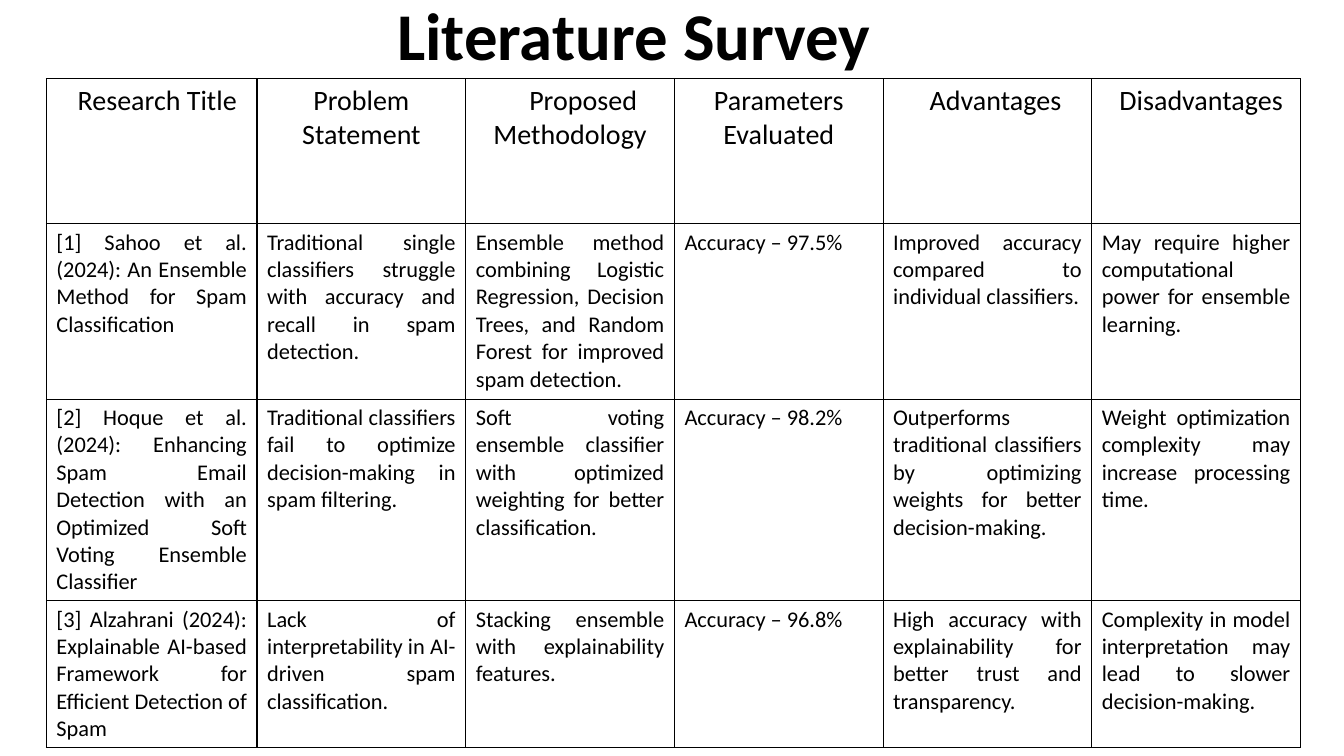
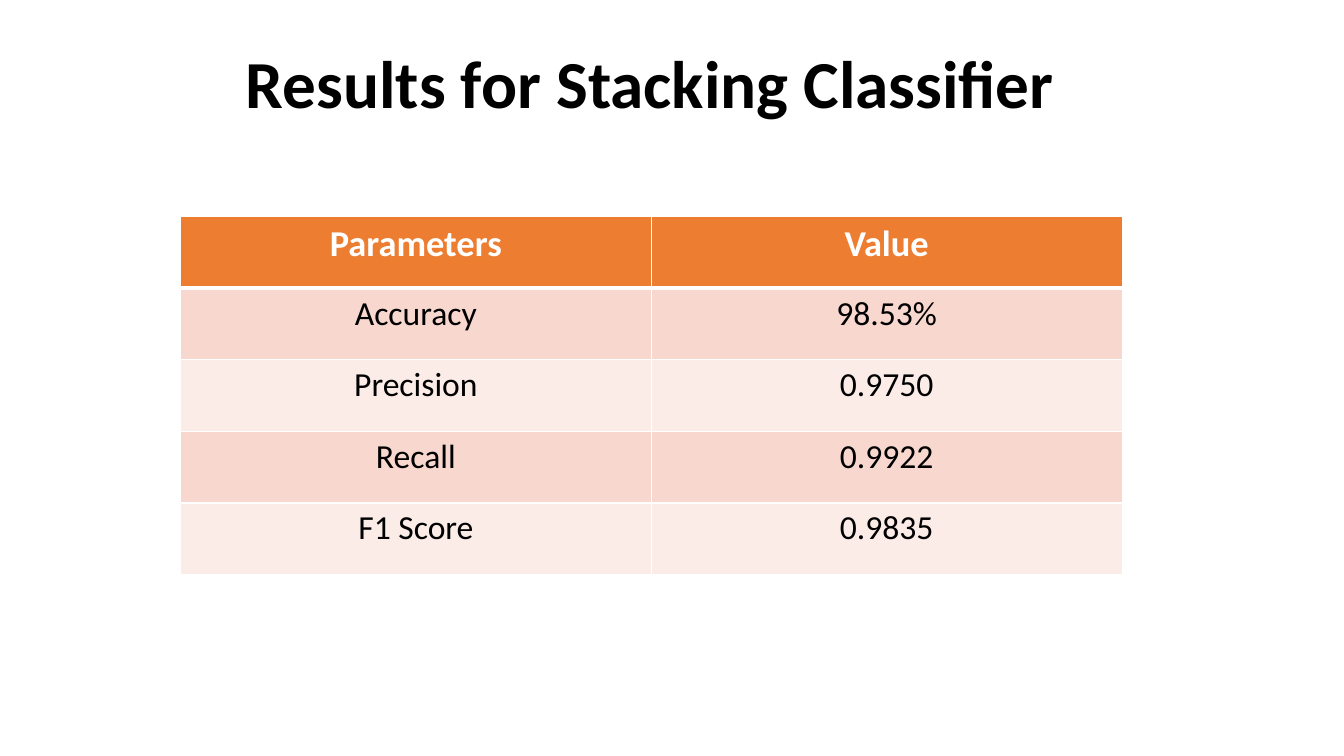
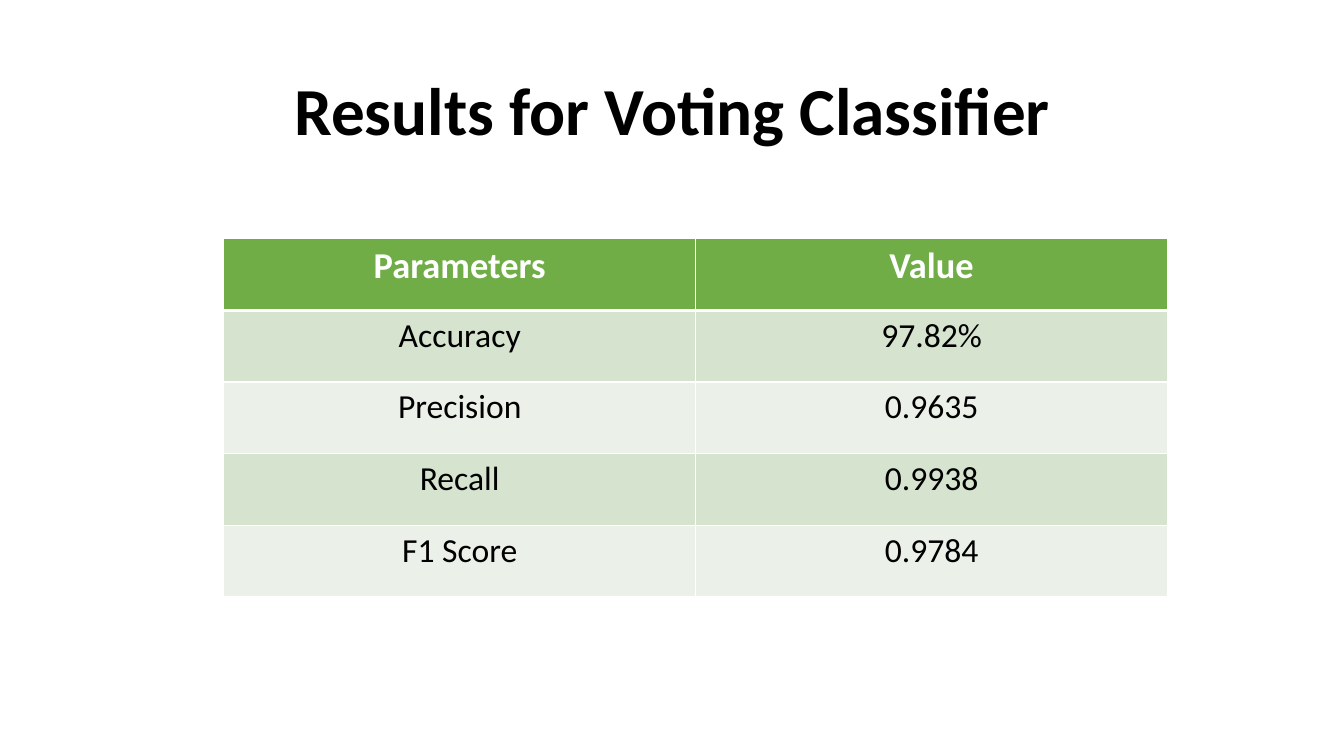
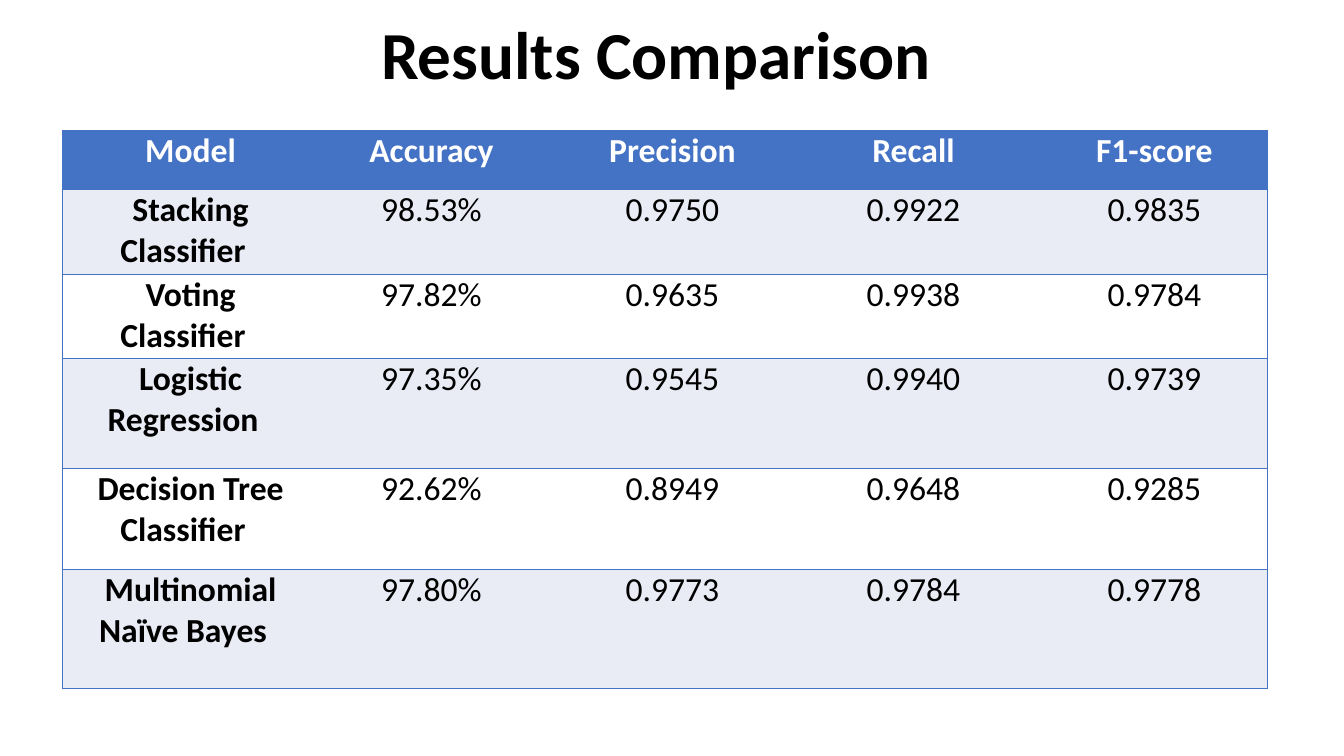
from lxml import etree
from pptx import Presentation
from pptx import util as u
from pptx.dml.color import RGBColor
from pptx.enum import text as t
from pptx.oxml import ns

PX = 9144
FONT = "Calibri"
MID, FULL = t.PP_ALIGN.CENTER, t.PP_ALIGN.JUSTIFY
COLORS = {
    "black": "000000", "white": "FFFFFF",
    "orange": "ED7D31", "peach": "F8D7CE", "blush": "FCECE8",
    "green": "70AD47", "sage": "D5E3CF", "mint": "EBF1E9",
    "blue": "4472C4", "mist": "E9EBF5",
}
SURVEY = [
    ["Research Title", "Problem\nStatement", "Proposed Methodology",
     "Parameters\nEvaluated", "Advantages", "Disadvantages"],
    ["[1] Sahoo et al. (2024): An Ensemble Method for Spam Classification",
     "Traditional single classifiers struggle with accuracy and recall in spam detection.",
     "Ensemble method combining Logistic Regression, Decision Trees, and Random Forest "
     "for improved spam detection.",
     "Accuracy – 97.5%",
     "Improved accuracy compared to individual classifiers.",
     "May require higher computational power for ensemble learning."],
    ["[2] Hoque et al. (2024): Enhancing Spam Email Detection with an Optimized "
     "Soft Voting Ensemble Classifier",
     "Traditional classifiers fail to optimize decision-making in spam filtering.",
     "Soft voting ensemble classifier with optimized weighting for better classification.",
     "Accuracy – 98.2%",
     "Outperforms traditional classifiers by optimizing weights for better decision-making.",
     "Weight optimization complexity may increase processing time."],
    ["[3] Alzahrani (2024): Explainable AI-based Framework for Efficient Detection of Spam",
     "Lack of interpretability in AI-driven spam classification.",
     "Stacking ensemble with explainability features.",
     "Accuracy – 96.8%",
     "High accuracy with explainability for better trust and transparency.",
     "Complexity in model interpretation may lead to slower decision-making."],
]
NAMES = ["Accuracy", "Precision", "Recall", "F1 Score"]
MODELS = [
    ["Stacking Classifier", "98.53%", "0.9750", "0.9922", "0.9835"],
    ["Voting Classifier", "97.82%", "0.9635", "0.9938", "0.9784"],
    ["Logistic Regression", "97.35%", "0.9545", "0.9940", "0.9739"],
    ["Decision Tree Classifier", "92.62%", "0.8949", "0.9648", "0.9285"],
    ["Multinomial Naïve Bayes", "97.80%", "0.9773", "0.9784", "0.9778"],
]


def px(*nums):
    return [u.Emu(n * PX) for n in nums]


def style(frame, size, color="black", bold=False, align=MID, first=0, left=0):
    for para in frame.paragraphs:
        para.alignment = align
        props = para._p.get_or_add_pPr()
        props.set("marL", str(left * PX))
        props.set("indent", str(first * PX))
        for run in para.runs:
            font = run.font
            font.name, font.size, font.bold = FONT, u.Pt(size), bold
            font.color.rgb = RGBColor.from_string(COLORS[color])


def title(slide, words, box, size=48, **look):
    frame = slide.shapes.add_textbox(*px(*box)).text_frame
    frame.word_wrap = True
    frame.vertical_anchor = t.MSO_ANCHOR.MIDDLE
    frame.text = words
    frame.paragraphs[0].line_spacing = 0.9
    style(frame, size, bold=True, **look)


def edges(cell, color, widths):
    props = cell._tc.get_or_add_tcPr()
    for side, width in zip("LRTB", widths):
        line = etree.SubElement(props, ns.qn("a:ln" + side), w=str(u.Pt(width)))
        if width:
            fill = etree.SubElement(line, ns.qn("a:solidFill"))
            etree.SubElement(fill, ns.qn("a:srgbClr"), val=COLORS[color])
        else:
            etree.SubElement(line, ns.qn("a:noFill"))


def paint(cell, color):
    if color:
        cell.fill.solid()
        cell.fill.fore_color.rgb = RGBColor.from_string(COLORS[color])
    else:
        cell.fill.background()


def grid(slide, left, top, cols, rows, data):
    box = px(left, top, sum(cols), sum(rows))
    table = slide.shapes.add_table(len(rows), len(cols), *box).table
    table.first_row = table.horz_banding = False
    for col, width in zip(table.columns, px(*cols)):
        col.width = width
    for row, height in zip(table.rows, px(*rows)):
        row.height = height
    for r, line in enumerate(data):
        for c, words in enumerate(line):
            cell = table.cell(r, c)
            cell.text_frame.text = words
            yield r, c, cell


def survey(slide):
    title(slide, "Literature Survey", (30, -2, 1303, 81), 47.7,
          align=t.PP_ALIGN.LEFT, left=354)
    shifts = [11, 0, 26, 0, 16, 10]
    cols, rows = [209] + [207] * 5, [144, 174, 200, 146]
    for r, c, cell in grid(slide, 46, 78, cols, rows, SURVEY):
        edges(cell, "black", [1] * 4)
        paint(cell, None)
        if r:
            style(cell.text_frame, 16, align=FULL)
        else:
            style(cell.text_frame, 20, first=shifts[c])


def scores(slide, words, box, left, top, width, values, fills):
    title(slide, words, box)
    data = [["Parameters", "Value"], *zip(NAMES, values)]
    head, *bands = fills
    for r, c, cell in grid(slide, left, top, [width] * 2, [71] * 5, data):
        edges(cell, "white", [1, 1, 3 if r == 1 else 1, 1 if r else 3])
        paint(cell, bands[(r - 1) % 2] if r else head)
        if r:
            style(cell.text_frame, 24)
        else:
            style(cell.text_frame, 26, "white", True)


def compare(slide):
    title(slide, "Results Comparison", (76, -15, 1150, 145))
    data = [["Model", "Accuracy", "Precision", "Recall", "F1-score"], *MODELS]
    rows = [58, 84, 84, 109, 100, 118]
    for r, c, cell in grid(slide, 62, 130, [239] * 5, rows, data):
        edges(cell, "blue", [int(c == 0), int(c == 4), 1, 1])
        paint(cell, ("mist" if r % 2 else "white") if r else "blue")
        cell.margin_left, cell.margin_right = px(7, 7)
        cell.margin_top = cell.margin_bottom = 0
        style(cell.text_frame, 24, "black" if r else "white",
              r == 0 or c == 0, first=15)


def main():
    deck = Presentation()
    deck.slide_width, deck.slide_height = px(1333, 750)
    one, two, three, four = [
        deck.slides.add_slide(deck.slide_layouts[6]) for _ in range(4)]
    survey(one)
    scores(two, "Results for Stacking Classifier", (214, 14, 862, 145),
           179, 215, 467, MODELS[0][1:], ["orange", "peach", "blush"])
    scores(three, "Results for Voting Classifier", (92, 40, 1150, 145),
           222, 237, 468, MODELS[1][1:], ["green", "sage", "mint"])
    compare(four)
    deck.save("out.pptx")


if __name__ == "__main__":
    main()
